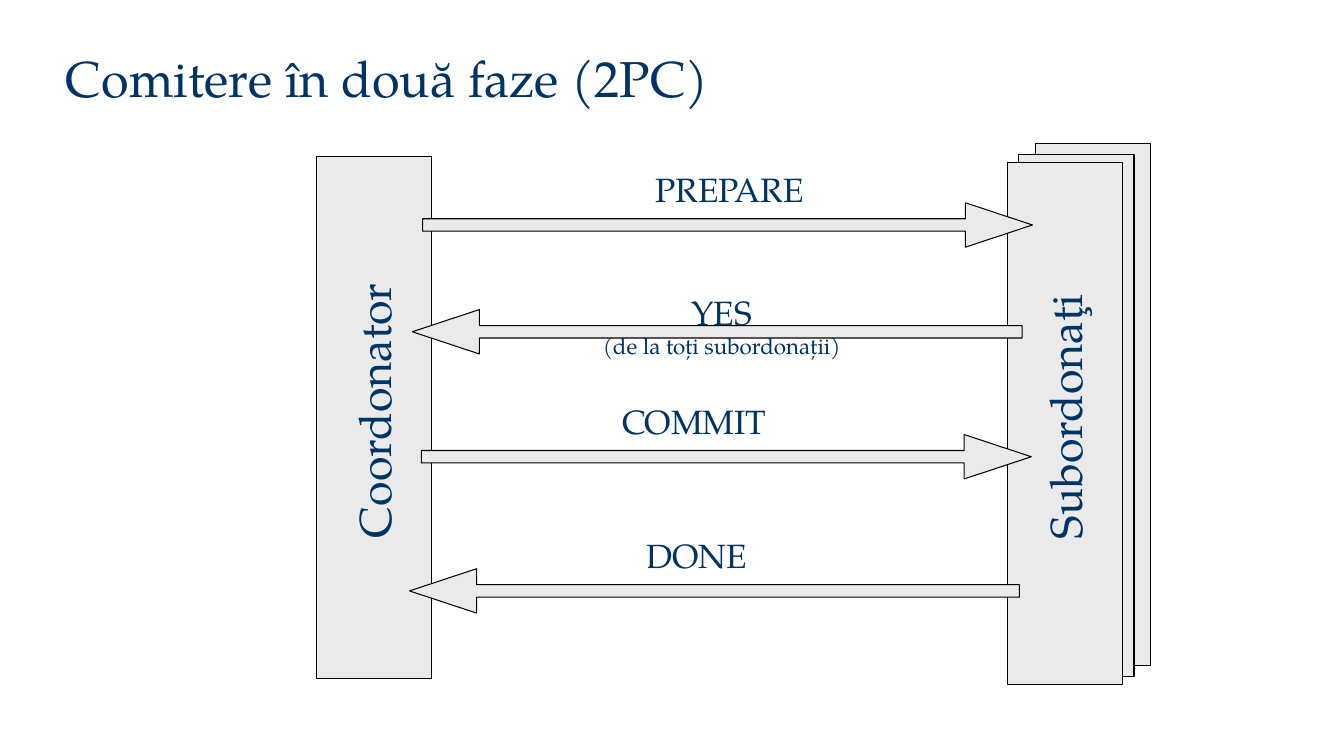
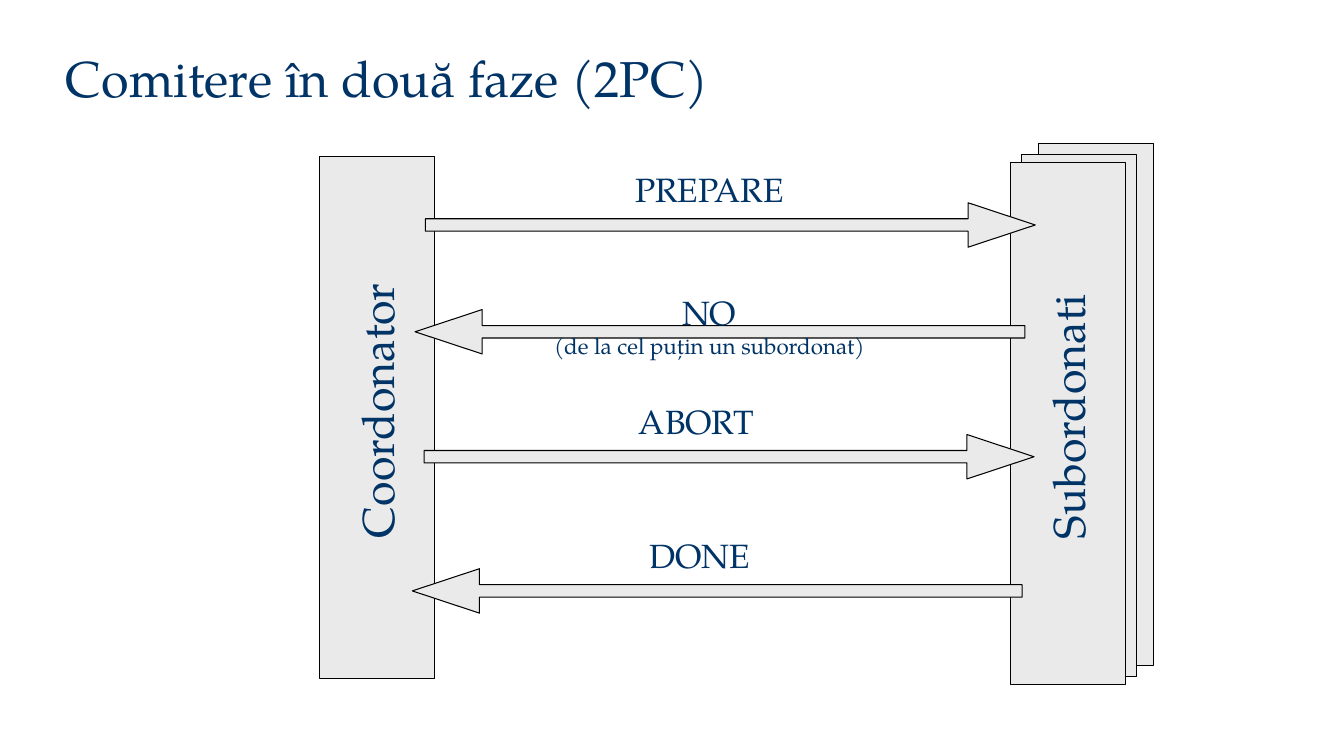
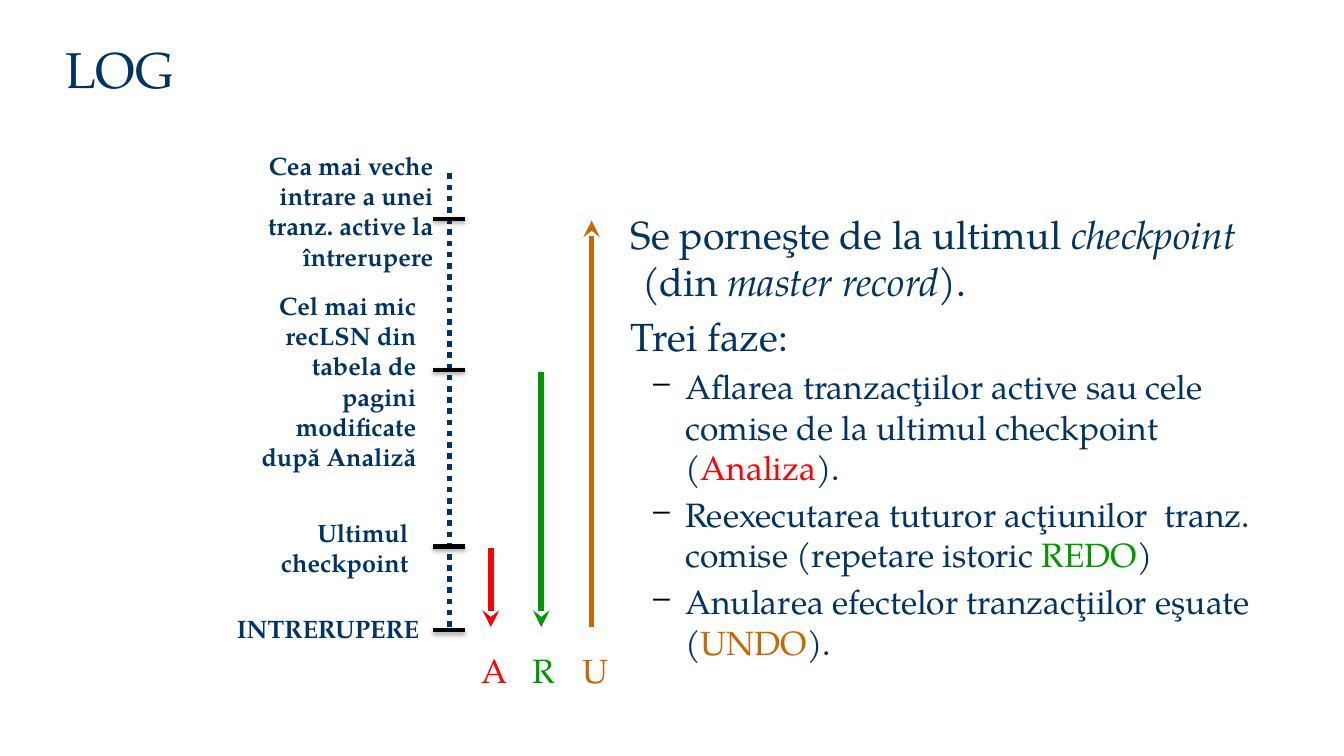
from lxml.etree import SubElement
from pptx import Presentation
from pptx.dml.color import RGBColor
from pptx.enum.dml import MSO_LINE
from pptx.enum.shapes import MSO_CONNECTOR, MSO_SHAPE
from pptx.enum.text import MSO_ANCHOR, PP_ALIGN
from pptx.oxml.ns import qn
from pptx.util import Cm, Pt

FONT = "TeX Gyre Pagella"
NAVY, GRAY, BLACK = "003366", "EAEAEA", "000000"
RED, GREEN, ORANGE = "FF0000", "009900", "CC6600"
LEFT, CENTER, RIGHT = PP_ALIGN.LEFT, PP_ALIGN.CENTER, PP_ALIGN.RIGHT

BAR_TOP, BAR_WIDTH, BAR_HEIGHT = 3.94, 2.9, 13.16
SUBORDINATE_STACK = [(18.11, 3.61), (17.7, 3.89), (17.42, 4.09)]
ARROW_WIDTH, ARROW_HEIGHT = 15.37, 1.12
MESSAGE_ARROWS = [(2.67, 5.11, 0), (2.41, 7.8, 180), (2.64, 10.95, 0), (2.34, 14.33, 180)]

PROTOCOLS = [
    {
        "title": "Comitere în două faze (2PC)",
        "left": 7.98,
        "roles": ("Coordonator", "Subordonaţi"),
        "messages": [
            (4.67, ["PREPARE"]),
            (4.47, ["YES", "(de la toți subordonații)"]),
            (3.78, ["COMMIT"]),
            (3.84, ["DONE"]),
        ],
    },
    {
        "title": "Comitere în două faze (2PC)",
        "left": 8.05,
        "roles": ("Coordonator", "Subordonati"),
        "messages": [
            (4.09, ["PREPARE"]),
            (4.09, ["NO", "(de la cel puțin un subordonat)"]),
            (3.76, ["ABORT"]),
            (3.84, ["DONE"]),
        ],
    },
]

LOG_TITLE = "LOG"
LOG_X, LOG_TOP, LOG_BOTTOM = 11.33, 4.37, 15.88
TICK_LEFT, TICK_RIGHT = 10.92, 11.71
LOG_TICKS = [5.51, 9.32, 13.77, LOG_BOTTOM]
LOG_NOTES = [
    (6.5, 3.66, 4.67, 3.33, RIGHT, ["Cea mai veche intrare a unei tranz. active la întrerupere"]),
    (6.07, 7.19, 4.67, 4.88, RIGHT, ["Cel mai mic recLSN din tabela de pagini modificate după Analiză"]),
    (5.87, 12.9, 4.67, 1.78, RIGHT, ["Ultimul", "checkpoint"]),
    (5.72, 15.32, 5.26, 1.02, LEFT, ["INTRERUPERE"]),
]
PHASES = [
    ("A", RED, 12.37, 13.82, 15.8),
    ("R", GREEN, 13.64, 9.37, 15.8),
    ("U", ORANGE, 14.91, 15.8, 5.56),
]
PHASE_LABEL_TOP = 16.25
RECOVERY = [
    (0, [("Se porneşte de la ultimul ", NAVY, False), ("checkpoint", NAVY, True),
         (" (din ", NAVY, False), ("master record", NAVY, True), (").", NAVY, False)]),
    (0, [("Trei faze:", NAVY, False)]),
    (1, [("Aflarea tranzacţiilor active sau cele comise de la ultimul checkpoint (", NAVY, False),
         ("Analiza", RED, False), (").", NAVY, False)]),
    (1, [("Reexecutarea tuturor acţiunilor  tranz. comise (repetare istoric ", NAVY, False),
         ("REDO", GREEN, False), (")", NAVY, False)]),
    (1, [("Anularea efectelor tranzacţiilor eşuate (", NAVY, False),
         ("UNDO", ORANGE, False), (").", NAVY, False)]),
]
LEVELS = [(28, 0.97, -0.28), (24, 2.06, -0.79)]


def color(value):
    return RGBColor.from_string(value)


def style(font, size, tint=NAVY, bold=False, italic=False):
    font.name, font.size = FONT, Pt(size)
    font.bold, font.italic = bold, italic
    font.color.rgb = color(tint)


def add_text(slide, box, lines, sizes, tint=NAVY, align=LEFT, bold=False, wrap=True):
    label = slide.shapes.add_textbox(*map(Cm, box))
    frame = label.text_frame
    frame.word_wrap = wrap
    frame.text = "\n".join(lines)
    for paragraph, size in zip(frame.paragraphs, sizes):
        paragraph.alignment = align
        for run in paragraph.runs:
            style(run.font, size, tint, bold)
    return label


def add_title(slide, title, top):
    label = add_text(slide, (1.47, top, 27.13, 1.78), [title], [36])
    label.text_frame.margin_left = Cm(0.19)
    label.text_frame.vertical_anchor = MSO_ANCHOR.MIDDLE


def add_block(slide, preset, box):
    block = slide.shapes.add_shape(preset, *map(Cm, box))
    block.shadow.inherit = False
    block.fill.solid()
    block.fill.fore_color.rgb = color(GRAY)
    block.line.color.rgb = color(BLACK)
    block.line.width = Pt(0.75)
    return block


def add_role(slide, role, left, top):
    width, height = 7, 1.63
    middle_x = left + BAR_WIDTH / 2
    middle_y = top + BAR_HEIGHT / 2 - 0.17
    box = (middle_x - width / 2, middle_y - height / 2, width, height)
    add_text(slide, box, [role], [32], align=CENTER, wrap=False).rotation = 270


def add_line(slide, start, end, tint, weight):
    line = slide.shapes.add_connector(MSO_CONNECTOR.STRAIGHT, *map(Cm, start + end))
    line.line.color.rgb = color(tint)
    line.line.width = Pt(weight)
    effects = SubElement(line.element.spPr, qn("a:effectLst"))
    return line, effects


def add_tick_shadow(effects):
    shadow = SubElement(effects, qn("a:outerShdw"), blurRad=str(Pt(3.1)), dist=str(Pt(1.8)),
                        dir="5400000", rotWithShape="0")
    tint = SubElement(shadow, qn("a:srgbClr"), val=BLACK)
    SubElement(tint, qn("a:alpha"), val="35000")


def add_dash(properties):
    SubElement(SubElement(properties, qn("a:buClr")), qn("a:srgbClr"), val=BLACK)
    SubElement(properties, qn("a:buFont"), typeface=FONT)
    SubElement(properties, qn("a:buChar"), char="–")


def build_protocol(slide, protocol):
    left = protocol["left"]
    coordinator, subordinates = protocol["roles"]
    add_title(slide, protocol["title"], 1.07)
    add_block(slide, MSO_SHAPE.RECTANGLE, (left, BAR_TOP, BAR_WIDTH, BAR_HEIGHT))
    add_role(slide, coordinator, left, BAR_TOP)
    for offset, top in SUBORDINATE_STACK:
        add_block(slide, MSO_SHAPE.RECTANGLE, (left + offset, top, BAR_WIDTH, BAR_HEIGHT))
    front_offset, front_top = SUBORDINATE_STACK[-1]
    add_role(slide, subordinates, left + front_offset, front_top)
    for (offset, top, turn), (label_offset, lines) in zip(MESSAGE_ARROWS, protocol["messages"]):
        arrow = add_block(slide, MSO_SHAPE.RIGHT_ARROW,
                          (left + offset, top, ARROW_WIDTH, ARROW_HEIGHT))
        arrow.adjustments[0], arrow.adjustments[1] = 0.28, 1.51
        arrow.rotation = turn
        lift, height = (0.97, 1.27) if len(lines) == 1 else (0.56, 1.96)
        add_text(slide, (left + label_offset, top - lift, 11.48, height), lines, [24, 16],
                 align=CENTER)


def build_recovery(slide):
    frame = slide.shapes.add_textbox(Cm(14.96), Cm(5.18), Cm(16.99), Cm(12.17)).text_frame
    frame.word_wrap = True
    for index, (level, pieces) in enumerate(RECOVERY):
        paragraph = frame.add_paragraph() if index else frame.paragraphs[0]
        size, margin, indent = LEVELS[level]
        properties = paragraph._p.get_or_add_pPr()
        properties.set("marL", str(Cm(margin)))
        properties.set("indent", str(Cm(indent)))
        if level:
            add_dash(properties)
        paragraph.level = level
        if index:
            paragraph.space_before = Pt(size * 0.2)
        for words, tint, italic in pieces:
            run = paragraph.add_run()
            run.text = words
            style(run.font, size, tint, italic=italic)


def build_log(slide):
    add_title(slide, LOG_TITLE, 0.84)
    build_recovery(slide)
    timeline, _ = add_line(slide, (LOG_X, LOG_TOP), (LOG_X, LOG_BOTTOM), NAVY, 4)
    timeline.line.dash_style = MSO_LINE.ROUND_DOT
    for *box, align, lines in LOG_NOTES:
        add_text(slide, box, lines, [18] * len(lines), align=align, bold=True)
    for y in LOG_TICKS:
        _, effects = add_line(slide, (TICK_LEFT, y), (TICK_RIGHT, y), BLACK, 3)
        add_tick_shadow(effects)
    for letter, tint, x, start, end in PHASES:
        phase, _ = add_line(slide, (x, start), (x, end), tint, 4)
        SubElement(phase.element.spPr.find(qn("a:ln")), qn("a:tailEnd"), type="stealth")
        add_text(slide, (x - 0.48, PHASE_LABEL_TOP, 1.1, 1.27), [letter], [24], tint, wrap=False)


def main():
    deck = Presentation()
    deck.slide_width, deck.slide_height = Cm(33.87), Cm(19.05)
    blank = deck.slide_layouts[6]
    for protocol in PROTOCOLS:
        build_protocol(deck.slides.add_slide(blank), protocol)
    build_log(deck.slides.add_slide(blank))
    deck.save("out.pptx")


if __name__ == "__main__":
    main()
